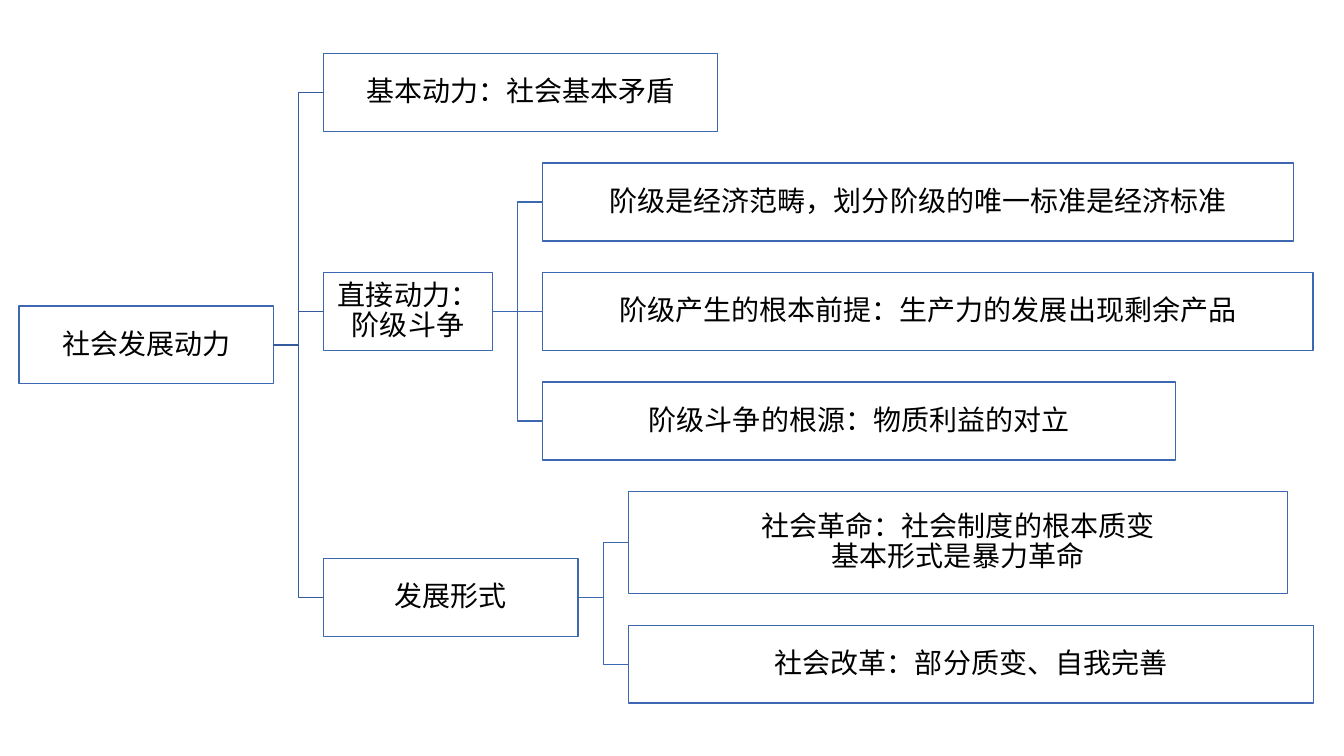
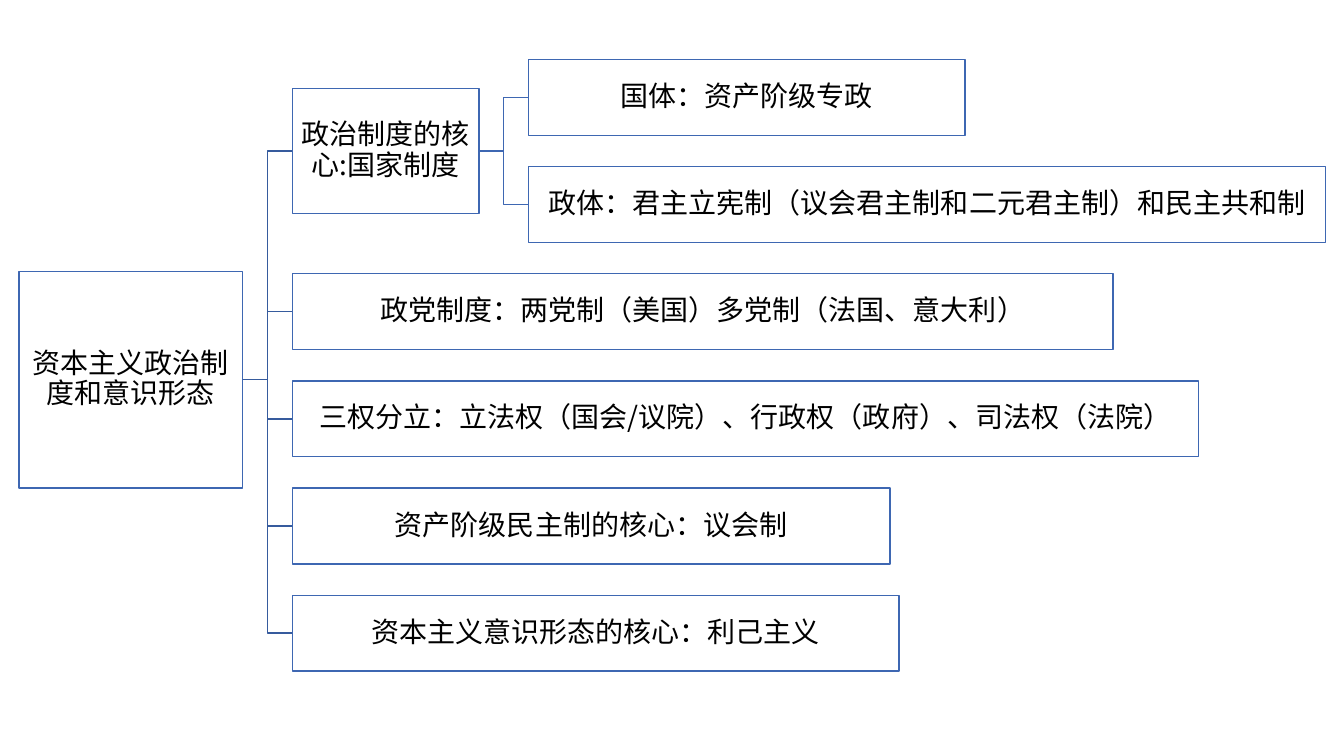
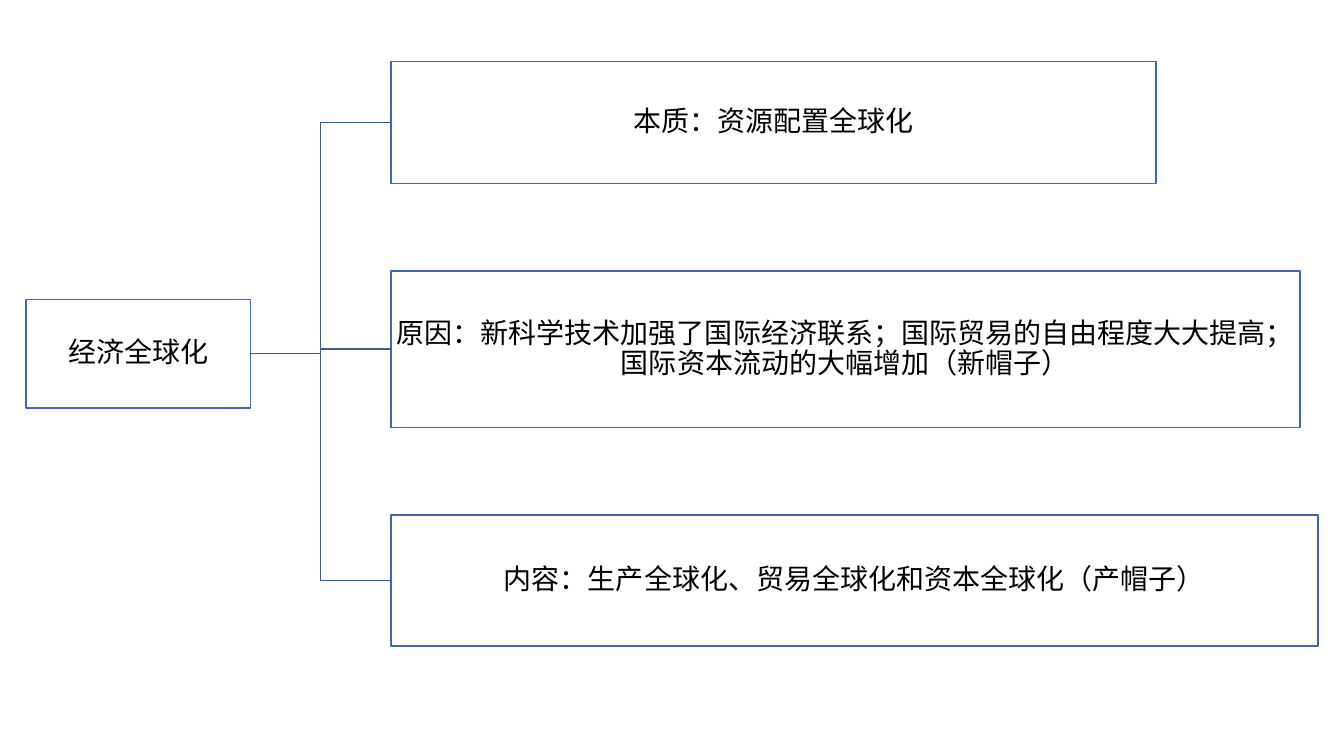
from dataclasses import dataclass, field

from lxml import etree
from pptx import Presentation
from pptx.dml.color import RGBColor
from pptx.enum import shapes, text
from pptx.oxml import ns
from pptx.util import Cm, Pt


@dataclass(frozen=True)
class Theme:
    font: str = "Noto Sans CJK SC"
    size: int = Pt(20)
    ink: RGBColor = RGBColor.from_string("000000")
    paper: RGBColor = RGBColor.from_string("FFFFFF")
    root_line: RGBColor = RGBColor.from_string("365B9D")
    line: RGBColor = RGBColor.from_string("3E67B2")
    line_width: int = Pt(1)
    inset: int = Cm(0.03)


@dataclass
class Node:
    label: str
    width: float
    height: float
    children: list = field(default_factory=list)
    left: float = 0
    top: float = 0


@dataclass
class Diagram:
    left: float
    top: float
    column_gap: float
    row_gap: float
    root: Node


theme = Theme()
FRAME_FORMAT = {
    "word_wrap": True,
    "vertical_anchor": text.MSO_ANCHOR.MIDDLE,
    "margin_left": theme.inset,
    "margin_right": theme.inset,
    "margin_top": theme.inset,
    "margin_bottom": theme.inset,
}
PARAGRAPH_FORMAT = {"alignment": text.PP_ALIGN.CENTER, "line_spacing": 0.9}
FONT_FORMAT = {"name": theme.font, "size": theme.size}


def arrange(node, left, top, diagram):
    node.left, node.top = left, top
    if not node.children:
        return top + node.height
    for child in node.children:
        bottom = arrange(child, left + node.width + diagram.column_gap, top, diagram)
        top = bottom + diagram.row_gap
    first, last = node.children[0], node.children[-1]
    node.top = (first.top + last.top + last.height - node.height) / 2
    return bottom


def draw(slide, node, branch_color):
    box = slide.shapes.add_shape(
        shapes.MSO_SHAPE.RECTANGLE,
        Cm(node.left), Cm(node.top), Cm(node.width), Cm(node.height),
    )
    box.shadow.inherit = False
    box.fill.solid()
    box.fill.fore_color.rgb = theme.paper
    box.line.color.rgb = theme.line
    box.line.width = theme.line_width
    frame = box.text_frame
    paragraph = frame.paragraphs[0]
    paragraph.text = node.label
    formats = [(frame, FRAME_FORMAT), (paragraph, PARAGRAPH_FORMAT)]
    formats += [(run.font, FONT_FORMAT) for run in paragraph.runs]
    for target, values in formats:
        for name, value in values.items():
            setattr(target, name, value)
    for run in paragraph.runs:
        run.font.color.rgb = theme.ink
        east_asian = etree.SubElement(run._r.get_or_add_rPr(), ns.qn("a:ea"))
        east_asian.set("typeface", theme.font)

    for child in node.children:
        child_box = draw(slide, child, theme.line)
        offset = abs(node.top + node.height / 2 - child.top - child.height / 2)
        kind = shapes.MSO_CONNECTOR.ELBOW if offset > 0.02 else shapes.MSO_CONNECTOR.STRAIGHT
        connector = slide.shapes.add_connector(kind, 0, 0, 0, 0)
        connector.begin_connect(box, 3)
        connector.end_connect(child_box, 1)
        connector.line.color.rgb = branch_color
        connector.line.width = theme.line_width
        etree.SubElement(connector._element.spPr, ns.qn("a:effectLst"))
    return box


social_development = Node("社会发展动力", 6.41, 1.96, [
    Node("基本动力：社会基本矛盾", 9.93, 1.96),
    Node("直接动力：阶级斗争", 4.25, 1.96, [
        Node("阶级是经济范畴，划分阶级的唯一标准是经济标准", 18.92, 1.96),
        Node("阶级产生的根本前提：生产力的发展出现剩余产品", 19.41, 1.96),
        Node("阶级斗争的根源：物质利益的对立", 15.95, 1.96),
    ]),
    Node("发展形式", 6.41, 1.96, [
        Node("社会革命：社会制度的根本质变\v基本形式是暴力革命", 16.61, 2.57),
        Node("社会改革：部分质变、自我完善", 17.27, 1.96),
    ]),
])

capitalist_politics = Node("资本主义政治制度和意识形态", 5.64, 5.46, [
    Node("政治制度的核心:国家制度", 4.7, 3.15, [
        Node("国体：资产阶级专政", 11, 1.91),
        Node("政体：君主立宪制（议会君主制和二元君主制）和民主共和制", 20.09, 1.91),
    ]),
    Node("政党制度：两党制（美国）多党制（法国、意大利）", 20.68, 1.91),
    Node("三权分立：立法权（国会/议院）、行政权（政府）、司法权（法院）", 22.83, 1.91),
    Node("资产阶级民主制的核心：议会制", 15.06, 1.91),
    Node("资本主义意识形态的核心：利己主义", 15.29, 1.91),
])

economic_globalization = Node("经济全球化", 5.66, 2.74, [
    Node("本质：资源配置全球化", 19.28, 3.07),
    Node(
        "原因：新科学技术加强了国际经济联系；国际贸易的自由程度大大提高；"
        "国际资本流动的大幅增加（新帽子）", 22.91, 3.94,
    ),
    Node("内容：生产全球化、贸易全球化和资本全球化（产帽子）", 23.37, 3.3),
])

diagrams = [
    Diagram(0.48, 1.35, 1.27, 0.8, social_development),
    Diagram(0.48, 1.5, 1.25, 0.79, capitalist_politics),
    Diagram(0.66, 1.55, 3.53, 2.21, economic_globalization),
]

presentation = Presentation()
presentation.slide_width = Cm(33.87)
presentation.slide_height = Cm(19.05)
blank_layout = presentation.slide_layouts[6]

for diagram in diagrams:
    slide = presentation.slides.add_slide(blank_layout)
    arrange(diagram.root, diagram.left, diagram.top, diagram)
    draw(slide, diagram.root, theme.root_line)

presentation.save("out.pptx")
